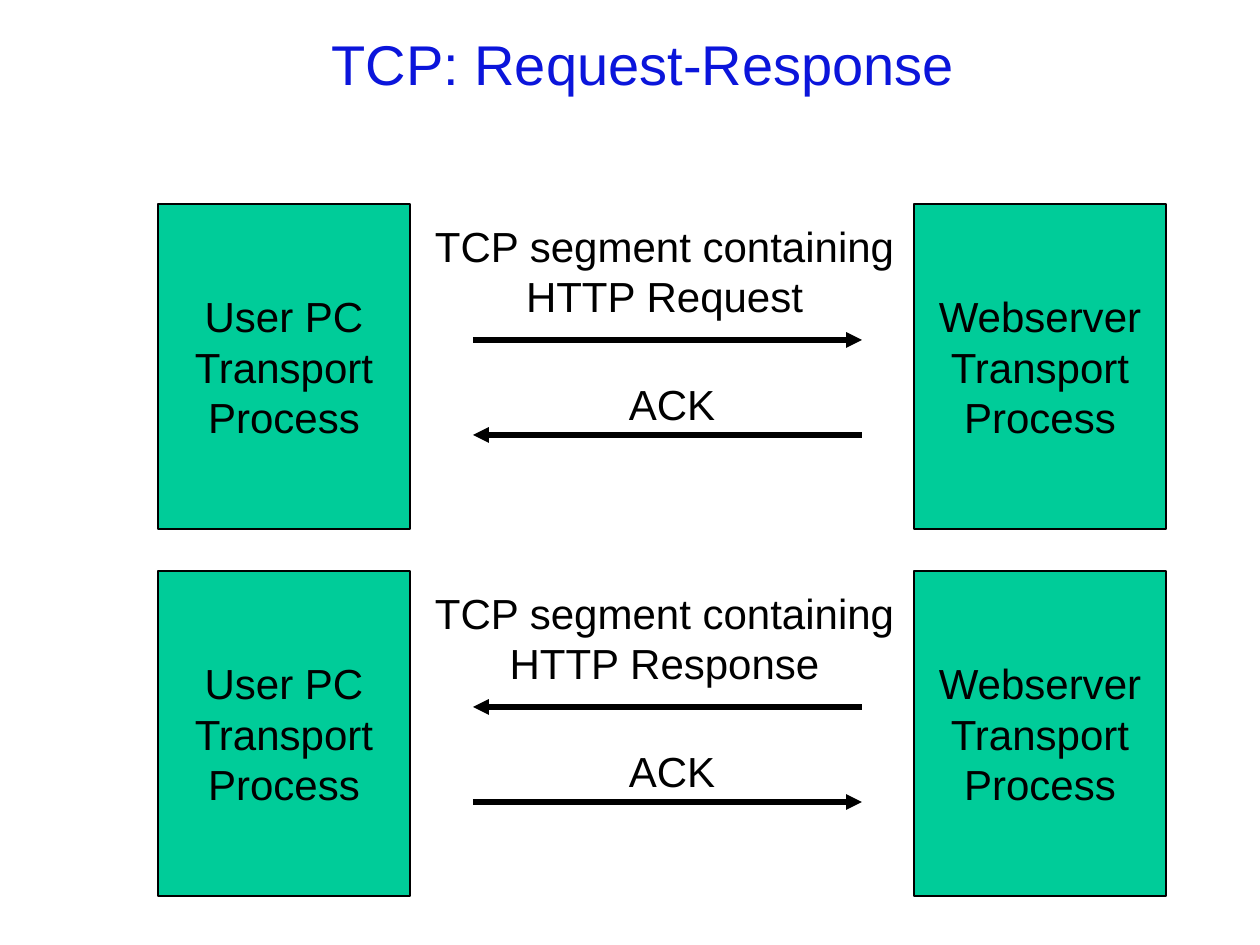
import pptx
import pptx.dml.color
import pptx.enum.shapes
import pptx.enum.text
import pptx.oxml.ns
import pptx.util
from lxml import etree

EMU_PER_PX = 914400 / 126
BLACK, BLUE, GREEN = "000000", "0B15DB", "00CC99"


def px(*lengths):
    return [pptx.util.Emu(round(length * EMU_PER_PX)) for length in lengths]


def write(shape, lines, anchor, size=24, color=BLACK):
    """Fill a shape with centred lines, one paragraph each."""
    frame = shape.text_frame
    frame.word_wrap = False
    frame.vertical_anchor = anchor
    for index, line in enumerate(lines):
        paragraph = frame.add_paragraph() if index else frame.paragraphs[0]
        paragraph.alignment = pptx.enum.text.PP_ALIGN.CENTER
        run = paragraph.add_run()
        run.text = line
        run.font.name = "Arial"
        run.font.size = pptx.util.Pt(size)
        run.font.color.rgb = pptx.dml.color.RGBColor.from_string(color)


TOP = pptx.enum.text.MSO_ANCHOR.TOP
MIDDLE = pptx.enum.text.MSO_ANCHOR.MIDDLE

presentation = pptx.Presentation()
presentation.slide_width, presentation.slide_height = px(1260, 945)
slide = presentation.slides.add_slide(presentation.slide_layouts[6])

title = slide.shapes.add_textbox(*px(95, 11, 1112, 105))
write(title, ["TCP: Request-Response "], MIDDLE, 32, BLUE)
title.text_frame.word_wrap = True

hosts = [(158, "User PC"), (914, "Webserver")]
arrow_left, arrow_right = 473, 862
# Top of the exchange, message carried, whether the message goes to the webserver
exchanges = [(204, "HTTP Request", True), (571, "HTTP Response", False)]

for top, message, to_server in exchanges:
    for left, host in hosts:
        box = slide.shapes.add_shape(
            pptx.enum.shapes.MSO_SHAPE.RECTANGLE, *px(left, top, 252, 325))
        box.shadow.inherit = False
        box.fill.solid()
        box.fill.fore_color.rgb = pptx.dml.color.RGBColor.from_string(GREEN)
        box.line.color.rgb = pptx.dml.color.RGBColor.from_string(BLACK)
        box.line.width = pptx.util.Pt(0.75)
        write(box, [host, "Transport", "Process"], MIDDLE)

    segment_label = slide.shapes.add_textbox(*px(422, top + 10, 485, 113))
    write(segment_label, ["TCP segment containing", message], TOP)
    ack_label = slide.shapes.add_textbox(*px(616, top + 168, 112, 63))
    write(ack_label, ["ACK"], TOP)

    for y, rightward in [(top + 136, to_server), (top + 231, not to_server)]:
        start, end = (arrow_left, arrow_right) if rightward else (arrow_right, arrow_left)
        arrow = slide.shapes.add_connector(
            pptx.enum.shapes.MSO_CONNECTOR.STRAIGHT, *px(start, y, end, y))
        arrow.line.color.rgb = pptx.dml.color.RGBColor.from_string(BLACK)
        arrow.line.width = pptx.util.Pt(3)
        etree.SubElement(arrow.line._get_or_add_ln(),
                         pptx.oxml.ns.qn("a:tailEnd"), type="triangle")
        etree.SubElement(arrow._element.spPr, pptx.oxml.ns.qn("a:effectLst"))

presentation.save("out.pptx")
